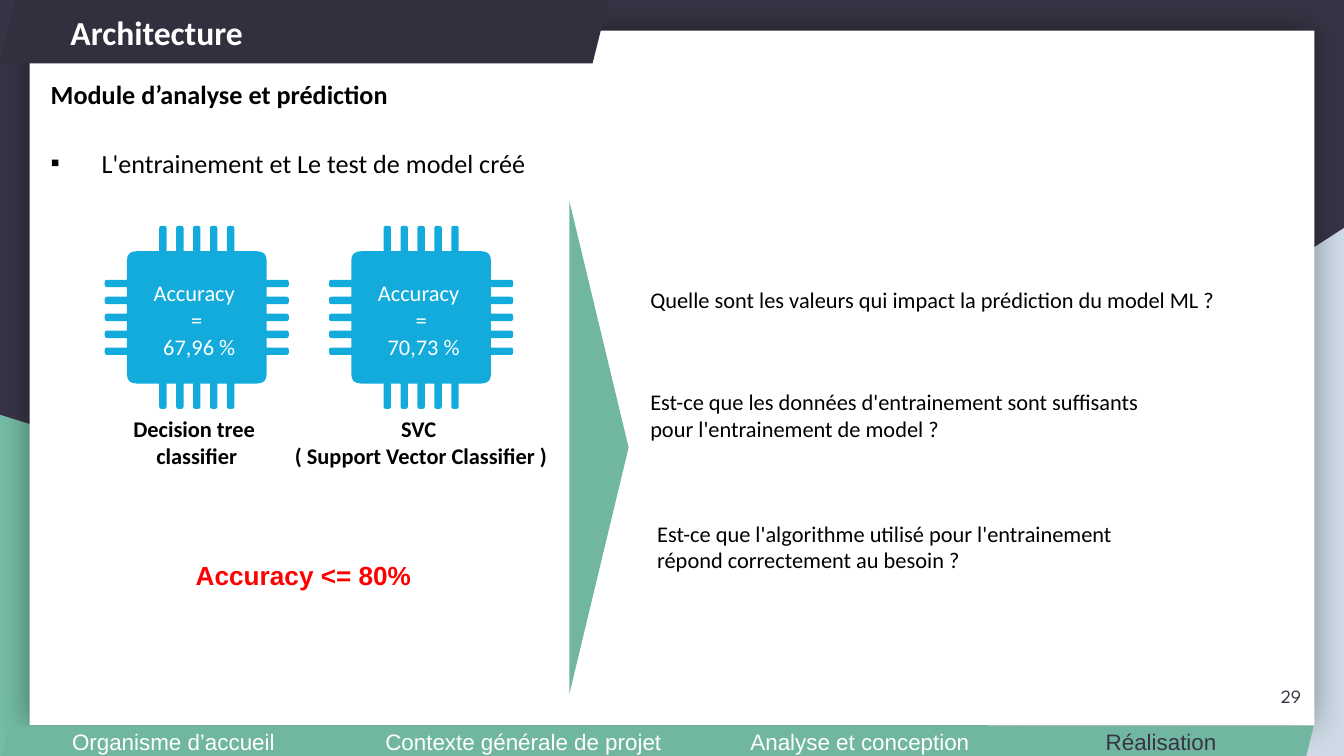
from dataclasses import dataclass

from lxml import etree
from pptx import Presentation
from pptx import util as u
from pptx.dml.color import RGBColor
from pptx.enum import shapes, text
from pptx.oxml import ns


@dataclass(frozen=True)
class Theme:
    """Colours, type sizes and fonts of the slide."""
    night: str = "373545"
    banner: str = "32303F"
    sky: str = "CEDBE6"
    mint: str = "75BDA7"
    sage: str = "70B6A0"
    chip: str = "12ABDB"
    white: str = "FFFFFF"
    black: str = "000000"
    alert: str = "FF0000"
    title: int = 18
    heading: int = 14
    body: int = 12
    small: int = 10
    sans: str = "Calibri"
    footer: str = "Arial"
    number: str = "League Spartan"


THEME = Theme()
PRESET = shapes.MSO_SHAPE
ALIGN = text.PP_ALIGN
MIDDLE = text.MSO_ANCHOR.MIDDLE


def write(frame, lines, size=THEME.body, color=THEME.black, font=THEME.sans,
          bold=False, align=ALIGN.LEFT, anchor=text.MSO_ANCHOR.TOP,
          wrap=False, spacing=None, inset=None):
    """Fill a text frame with one paragraph for each line."""
    frame.word_wrap = wrap
    frame.vertical_anchor = anchor
    if inset is not None:
        frame.margin_left = frame.margin_right = u.Cm(inset)
        frame.margin_top = frame.margin_bottom = u.Cm(inset)
    for index, line in enumerate(lines):
        paragraph = frame.add_paragraph() if index else frame.paragraphs[0]
        paragraph.alignment = align
        if spacing:
            paragraph.line_spacing = spacing
        run = paragraph.add_run()
        run.text = line
        run.font.size = u.Pt(size)
        run.font.name = font
        run.font.bold = bold
        run.font.color.rgb = RGBColor.from_string(color)


def add_bullet(paragraph, mark, indent):
    """Give a paragraph a bullet with a hanging indent in cm."""
    props = paragraph._p.get_or_add_pPr()
    props.set("marL", str(u.Cm(indent)))
    props.set("indent", str(-u.Cm(indent)))
    etree.SubElement(props, ns.qn("a:buFont")).set("typeface", "Arial")
    etree.SubElement(props, ns.qn("a:buChar")).set("char", mark)


def add_glow(shape, color, alpha, blur):
    """Put a soft shadow evenly around a shape."""
    effects = shape._element.spPr.find(ns.qn("a:effectLst"))
    shadow = etree.SubElement(effects, ns.qn("a:outerShdw"))
    shadow.set("blurRad", str(u.Pt(blur)))
    tint = etree.SubElement(shadow, ns.qn("a:srgbClr"))
    tint.set("val", color)
    etree.SubElement(tint, ns.qn("a:alpha")).set("val", str(alpha * 1000))


def round_corners(corners, steps=4):
    """Turn (x, y, radius) corners into the points of a smooth outline."""
    points = []
    for index, (x, y, radius) in enumerate(corners):
        if not radius:
            points.append((x, y))
            continue
        ends = []
        for near in (corners[index - 1], corners[(index + 1) % len(corners)]):
            dx, dy = near[0] - x, near[1] - y
            share = radius / max(abs(dx), abs(dy))
            ends.append((x + dx * share, y + dy * share))
        (ax, ay), (bx, by) = ends
        for step in range(steps + 1):
            t = step / steps
            a, c, b = (1 - t) ** 2, 2 * t * (1 - t), t ** 2
            points.append((a * ax + c * x + b * bx, a * ay + c * y + b * by))
    return points


def chip_outline(cx, cy):
    """Return the outline of a chip with five pins on each side."""
    half_w, half_h, tip_w, tip_h = 1.32, 1.25, 1.74, 1.73
    pitch, pin = 0.32, 0.07
    corners = []
    for across, out, tip, turn in (
            (half_w, half_h, tip_h, lambda a, o: (a, -o)),
            (half_h, half_w, tip_w, lambda a, o: (o, a)),
            (half_w, half_h, tip_h, lambda a, o: (-a, o)),
            (half_h, half_w, tip_w, lambda a, o: (-o, -a))):
        side = [(-across, out, 0.18)]
        for number in range(-2, 3):
            at = number * pitch
            side += [(at - pin, out, 0), (at - pin, tip, 0.05),
                     (at + pin, tip, 0.05), (at + pin, out, 0)]
        for along, away, radius in side:
            dx, dy = turn(along, away)
            corners.append((cx + dx, cy + dy, radius))
    return round_corners(corners)


class Deck:
    """Holds the theme and the current slide."""

    def __init__(self, theme, width, height):
        """Start a presentation with one blank slide."""
        self.theme = theme
        self.file = Presentation()
        self.file.slide_width, self.file.slide_height = u.Cm(width), u.Cm(height)
        self.slide = self.file.slides.add_slide(self.file.slide_layouts[6])
        self.slide.background.fill.solid()
        self.slide.background.fill.fore_color.rgb = RGBColor.from_string(theme.night)

    def paint(self, shape, color):
        """Give a shape a flat fill without line or shadow."""
        shape.shadow.inherit = False
        shape.fill.solid()
        shape.fill.fore_color.rgb = RGBColor.from_string(color)
        shape.line.fill.background()
        return shape

    def shape(self, preset, x, y, w, h, color, turn=0):
        """Add a preset shape that covers the given box after its turn."""
        if turn % 180:
            x, y, w, h = x + (w - h) / 2, y + (h - w) / 2, h, w
        shape = self.slide.shapes.add_shape(preset, u.Cm(x), u.Cm(y), u.Cm(w), u.Cm(h))
        shape.rotation = turn
        return self.paint(shape, color)

    def outline(self, points, color):
        """Add a closed freeform through the points."""
        (x, y), *rest = [(u.Cm(px), u.Cm(py)) for px, py in points]
        builder = self.slide.shapes.build_freeform(x, y)
        builder.add_line_segments(rest, close=True)
        return self.paint(builder.convert_to_shape(), color)

    def label(self, x, y, w, h, *lines, **style):
        """Add a text box and return its frame."""
        box = self.slide.shapes.add_textbox(u.Cm(x), u.Cm(y), u.Cm(w), u.Cm(h))
        write(box.text_frame, lines, **style)
        return box.text_frame


deck = Deck(THEME, 25.4, 14.29)

deck.shape(PRESET.RIGHT_TRIANGLE, 9.96, 4.31, 15.44, 9.98, THEME.sky, turn=270)
deck.shape(PRESET.RIGHT_TRIANGLE, 0, 7.84, 20.47, 6.45, THEME.mint)
panel = deck.shape(PRESET.RECTANGLE, 0.56, 0.58, 24.28, 13.13, THEME.white)
add_glow(panel, THEME.black, alpha=40, blur=18)

banner = deck.shape(PRESET.PARALLELOGRAM, 0, 0, 11.5, 1.2, THEME.banner)
write(banner.text_frame, ["Architecture"], size=THEME.title, color=THEME.white,
      bold=True, anchor=MIDDLE, wrap=True)
deck.label(0.71, 1.35, 7.26, 0.86, "Module d’analyse et prédiction",
           size=THEME.heading, bold=True, wrap=True)
topic = deck.label(0.71, 2.36, 9.6, 1.07, "L'entrainement et Le test de model créé",
                   size=THEME.heading, spacing=1.5)
add_bullet(topic.paragraphs[0], "▪", 0.96)

models = [(3.72, "67,96", 2.95, ("Decision tree ", "classifier")),
          (7.96, "70,73", 5.36, ("SVC ", "( Support Vector Classifier )"))]
for center, accuracy, width, name in models:
    deck.outline(chip_outline(center, 6), THEME.chip)
    deck.label(center - 1.09, 5.16, 2.18, 1.8, "Accuracy ", "=", f" {accuracy} %",
               color=THEME.white, align=ALIGN.CENTER)
    deck.label(center - width / 2, 7.72, width, 1.27, *name,
               bold=True, align=ALIGN.CENTER)

deck.label(3.45, 10.44, 4.6, 0.86, "Accuracy <= 80%", size=THEME.heading,
           color=THEME.alert, font=THEME.footer, bold=True)
deck.shape(PRESET.ISOSCELES_TRIANGLE, 10.76, 3.8, 1.12, 9.32, THEME.sage, turn=90)

questions = [
    (12.04, 5.28, 11.33, 0.76,
     "Quelle sont les valeurs qui impact la prédiction du model ML ?"),
    (12.04, 7.21, 10.01, 1.27,
     "Est-ce que les données d'entrainement sont suffisants ",
     "pour l'entrainement de model ?"),
    (12.17, 9.7, 9.25, 1.27,
     "Est-ce que l'algorithme utilisé pour l'entrainement",
     "répond correctement au besoin ?")]
for question in questions:
    deck.label(*question)

deck.label(23.32, 12.62, 1.52, 1.09, "29", size=THEME.small, color=THEME.night,
           font=THEME.number, align=ALIGN.RIGHT, anchor=MIDDLE, wrap=True, inset=0.25)

chapters = [("Organisme d’accueil", 6.5, THEME.white),
            ("Contexte générale de projet", 7.11, THEME.white),
            ("Analyse et conception", 5.99, THEME.white),
            ("Réalisation", 5.77, THEME.night)]
left = 0.03
for chapter, width, color in chapters:
    tab = deck.shape(PRESET.PARALLELOGRAM, left, 13.72, width, 0.6, THEME.sage)
    write(tab.text_frame, [chapter], color=color, font=THEME.footer,
          align=ALIGN.CENTER, anchor=MIDDLE)
    left += width - 0.19

deck.file.save("out.pptx")
